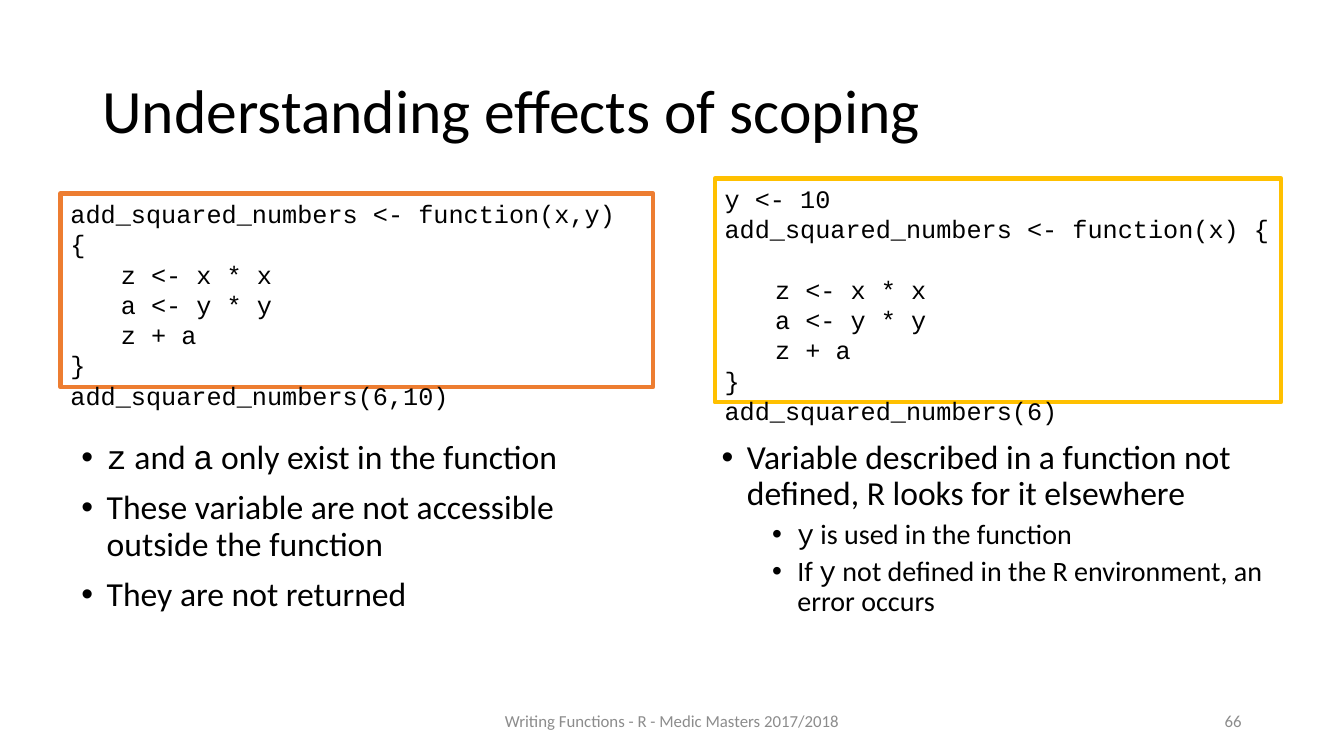
import dataclasses
import pptx
import pptx.util
import pptx.dml.color
import pptx.enum.shapes
import pptx.enum.text
import pptx.oxml
import pptx.oxml.ns
import lxml.etree

ALIGN = pptx.enum.text.PP_ALIGN
ANCHOR = pptx.enum.text.MSO_ANCHOR


@dataclasses.dataclass(frozen=True)
class Theme:
    """Colours, fonts and type sizes of the deck."""
    ink: str = "000000"
    paper: str = "FFFFFF"
    muted: str = "8C8C8C"
    local_scope: str = "ED7D31"
    global_scope: str = "FFC000"
    prose: str = "Calibri"
    mono: str = "Courier New"
    title: int = 44
    points: tuple = (24, 20)
    code: int = 18
    footer: int = 12


def rgb(value):
    """Turn a hex string into a colour."""
    return pptx.dml.color.RGBColor.from_string(value)


def write(paragraph, text, *, size, color, fonts, align=ALIGN.LEFT, spacing=1.0,
          before=0, after=0, margin=0, hanging=0, bullet=None):
    """Fill a paragraph, switching between the two fonts at each backtick."""
    paragraph.alignment = align
    paragraph.line_spacing = spacing
    paragraph.space_before = pptx.util.Pt(before)
    paragraph.space_after = pptx.util.Pt(after)
    properties = paragraph._p.get_or_add_pPr()
    properties.set("marL", str(pptx.util.Inches(margin)))
    properties.set("indent", str(pptx.util.Inches(-hanging)))
    if bullet:
        qn = pptx.oxml.ns.qn
        lxml.etree.SubElement(properties, qn("a:buFont")).set("typeface", "Arial")
        lxml.etree.SubElement(properties, qn("a:buChar")).set("char", bullet)
    for position, part in enumerate(text.split("`")):
        if part:
            run = paragraph.add_run()
            run.text = part
            run.font.name = fonts[position % 2]
            run.font.size = pptx.util.Pt(size)
            run.font.color.rgb = rgb(color)


class Deck:
    """Holds the theme and the current slide, laid out on a 160 by 90 grid."""

    def __init__(self, theme):
        """Open a widescreen deck with one two-content slide."""
        self.theme = theme
        self.fonts = (theme.prose, theme.mono)
        self.file = pptx.Presentation()
        self.file.slide_width = pptx.util.Inches(13.33)
        self.file.slide_height = pptx.util.Inches(7.5)
        self.slide = self.file.slides.add_slide(self.file.slide_layouts[3])

    def area(self, left, top, width, height):
        """Convert columns and rows to lengths."""
        column, row = self.file.slide_width / 160, self.file.slide_height / 90
        return round(left * column), round(top * row), round(width * column), round(height * row)

    def frame(self, shape, anchor=ANCHOR.TOP):
        """Return the wrapped, fixed-size text frame of a shape."""
        shape.text_frame.word_wrap = True
        shape.text_frame.auto_size = pptx.enum.text.MSO_AUTO_SIZE.NONE
        shape.text_frame.vertical_anchor = anchor
        return shape.text_frame

    def fill_lines(self, frame, lines):
        """Write one paragraph for each text and its format."""
        for position, (text, style) in enumerate(lines):
            paragraph = frame.add_paragraph() if position else frame.paragraphs[0]
            write(paragraph, text, **style)

    def place(self, index, cells):
        """Move a template placeholder onto the grid."""
        holder = self.slide.placeholders[index]
        holder.left, holder.top, holder.width, holder.height = self.area(*cells)
        return holder

    def title(self, text, cells):
        """Set the slide title."""
        frame = self.frame(self.place(0, cells), ANCHOR.MIDDLE)
        self.fill_lines(frame, [(text, dict(
            size=self.theme.title, color=self.theme.ink, fonts=self.fonts, spacing=0.9))])

    def points(self, index, cells, items):
        """Set a bulleted list of (level, text) items."""
        frame = self.frame(self.place(index, cells))
        self.fill_lines(frame, [(text, dict(
            size=self.theme.points[level], color=self.theme.ink, fonts=self.fonts,
            spacing=0.9, before=(10, 5)[level], margin=0.25 + level / 2,
            hanging=0.25, bullet="•")) for level, text in items])
        for paragraph, (level, _) in zip(frame.paragraphs, items):
            paragraph.level = level

    def code(self, cells, outline, lines):
        """Draw an outlined listing of (indent, text, gap after) lines."""
        listing = self.slide.shapes.add_shape(
            pptx.enum.shapes.MSO_SHAPE.RECTANGLE, *self.area(*cells))
        listing.shadow.inherit = False
        listing.fill.solid()
        listing.fill.fore_color.rgb = rgb(self.theme.paper)
        listing.line.color.rgb = rgb(outline)
        listing.line.width = pptx.util.Pt(3)
        self.fill_lines(self.frame(listing), [(text, dict(
            size=self.theme.code, color=self.theme.ink, fonts=(self.theme.mono,) * 2,
            margin=indent / 2, after=gap)) for indent, text, gap in lines])

    def footer(self, text, cells, align):
        """Add a small grey line at the foot of the slide."""
        note = self.slide.shapes.add_textbox(*self.area(*cells))
        self.fill_lines(self.frame(note, ANCHOR.MIDDLE), [(text, dict(
            size=self.theme.footer, color=self.theme.muted, fonts=self.fonts, align=align))])


def main():
    """Build and save the scoping slide."""
    theme = Theme()
    deck = Deck(theme)
    body = [(1, "z <- x * x", 0), (1, "a <- y * y", 0), (1, "z + a", 0), (0, "}", 0)]
    deck.title("Understanding effects of scoping", (11, 4.8, 138, 17.4))
    deck.points(2, (84.72, 51.84, 68, 28.08), [
        (0, "Variable described in a function not defined, R looks for it elsewhere"),
        (1, "`y` is used in the function"),
        (1, "If `y` not defined in the R environment, an error occurs")])
    deck.points(1, (8.5, 51.84, 68, 28.08), [
        (0, "`z` and `a` only exist in the function"),
        (0, "These variable are not accessible outside the function"),
        (0, "They are not returned")])
    deck.footer("Writing Functions - R - Medic Masters 2017/2018", (53, 83.4, 54, 4.8), ALIGN.CENTER)
    deck.footer("66", (113, 83.4, 36, 4.8), ALIGN.RIGHT)
    deck.code((7.2, 23.04, 70.56, 23.04), theme.local_scope, [
        (0, "add_squared_numbers <- function(x,y) {", 0), *body,
        (0, "add_squared_numbers(6,10)", 0)])
    deck.code((85.08, 21.24, 67.44, 26.64), theme.global_scope, [
        (0, "y <- 10", 0), (0, "add_squared_numbers <- function(x) {", 21.6), *body,
        (0, "add_squared_numbers(6)", 0)])
    deck.file.save("out.pptx")


main()
